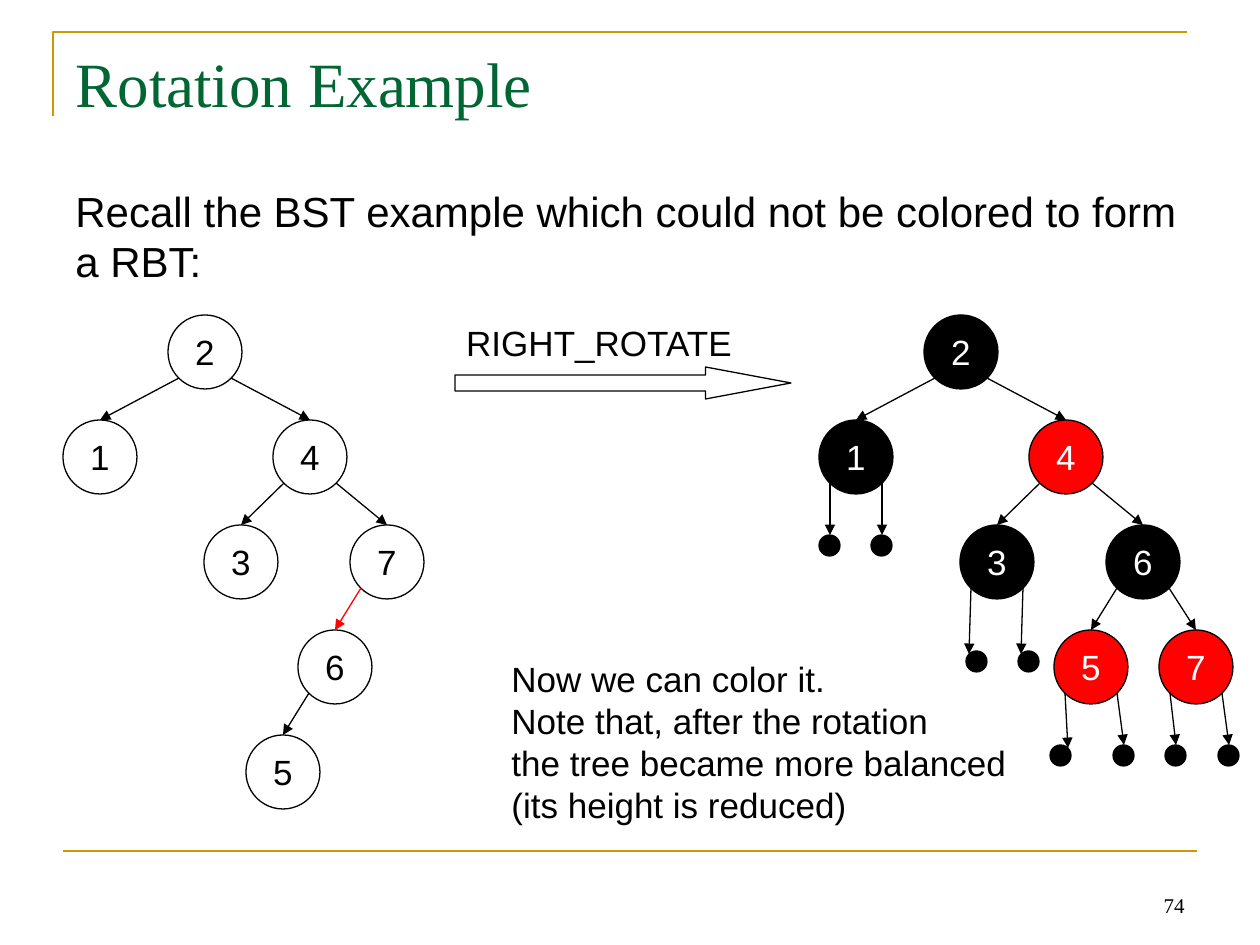
import pptx
import pptx.dml.color
import pptx.enum.shapes
import pptx.enum.text
import pptx.oxml
import pptx.oxml.ns
import pptx.util

RGB = pptx.dml.color.RGBColor
SHAPE = pptx.enum.shapes.MSO_SHAPE
ANCHOR = pptx.enum.text.MSO_ANCHOR
ALIGN = pptx.enum.text.PP_ALIGN

BLACK = RGB(0x00, 0x00, 0x00)
WHITE = RGB(0xFF, 0xFF, 0xFF)
RED = RGB(0xFF, 0x01, 0x01)
GOLD = RGB(0xCC, 0x99, 0x00)
GREEN = RGB(0x00, 0x66, 0x33)

PX = 914400 / 126
NODE = 74       # diameter of a tree node
LEAF = 21       # diameter of a nil leaf
LEVEL = 105     # height of one tree level
ARROW_IN = 11   # inset of an arrow's start from the node's bounding box


def emu(*lengths):
    return [round(length * PX) for length in lengths]


def add_xml(parent, tag, **attributes):
    child = pptx.oxml.parse_xml(f'<a:{tag} {pptx.oxml.ns.nsdecls("a")}/>')
    for name, value in attributes.items():
        child.set(name, value)
    parent.append(child)


def set_text(shape, lines, size, color=BLACK, font="Arial", align=ALIGN.LEFT,
             anchor=ANCHOR.TOP, wrap=True):
    frame = shape.text_frame
    frame.text = "\n".join(lines)
    frame.word_wrap = wrap
    frame.vertical_anchor = anchor
    for paragraph in frame.paragraphs:
        paragraph.alignment = align
        paragraph.font.size = pptx.util.Pt(size)
        paragraph.font.name = font
        paragraph.font.color.rgb = color
    return frame


def add_text(slide, box, lines, size, **style):
    return set_text(slide.shapes.add_textbox(*emu(*box)), lines, size, **style)


def add_outlined(slide, kind, box, fill=None):
    """Add a preset shape with a thin black outline and an optional fill."""
    shape = slide.shapes.add_shape(kind, *emu(*box))
    shape.shadow.inherit = False
    if fill is None:
        shape.fill.background()
    else:
        shape.fill.solid()
        shape.fill.fore_color.rgb = fill
    shape.line.color.rgb = BLACK
    shape.line.width = pptx.util.Pt(0.75)
    return shape


def add_line(slide, start, end, color=BLACK, width=0.75, arrow=False):
    line = slide.shapes.add_connector(
        pptx.enum.shapes.MSO_CONNECTOR.STRAIGHT, *emu(*start, *end))
    line.line.color.rgb = color
    line.line.width = pptx.util.Pt(width)
    if arrow:
        add_xml(line.line._get_or_add_ln(), "tailEnd", type="triangle")
    add_xml(line._element.spPr, "effectLst")
    return line


def arrow_start(node, side):
    """Return the lower left or lower right point of a node's circle."""
    x, y = node
    return x + (ARROW_IN if side == "L" else NODE - ARROW_IN), y + NODE - ARROW_IN


def add_tree(slide, origin, nodes, edges, leaves=()):
    """nodes: key -> (x, level, fill); edges: (parent, side, child, color);
    leaves: (parent, side, x, y, arrow tip within the leaf)."""
    left, top = origin
    places, circles = {}, {}
    for key, (x, level, fill) in nodes.items():
        places[key] = left + x, top + level * LEVEL
        circles[key] = add_outlined(slide, SHAPE.OVAL, (*places[key], NODE, NODE), fill)
        frame = set_text(circles[key], [key], 20, color=WHITE if fill else BLACK,
                         align=ALIGN.CENTER, anchor=ANCHOR.MIDDLE, wrap=False)
        frame.margin_left = frame.margin_right = 0
        frame.margin_top = frame.margin_bottom = 0
    for parent, side, child, color in edges:
        x, y = places[child]
        arrow = add_line(slide, arrow_start(places[parent], side),
                         (x + NODE // 2, y), color, arrow=True)
        arrow.end_connect(circles[child], 0)
    for parent, side, x, y, (tip_x, tip_y) in leaves:
        x, y = left + x, top + y
        add_outlined(slide, SHAPE.OVAL, (x, y, LEAF, LEAF), BLACK)
        add_line(slide, arrow_start(places[parent], side),
                 (x + tip_x, y + tip_y), arrow=True)


def add_frame(slide, box):
    """Draw the gold corner above the title, the bottom rule and the page number."""
    left, top, width, height = box
    outline = slide.shapes.build_freeform(*emu(left, top + 84), scale=1.0)
    outline.add_line_segments([emu(left, top), emu(left + width, top)], close=False)
    corner = outline.convert_to_shape()
    corner.shadow.inherit = False
    corner.fill.background()
    corner.line.color.rgb = GOLD
    corner.line.width = pptx.util.Pt(1.5)
    bottom = top + height
    add_line(slide, (left + 10, bottom), (left + 10 + width, bottom), GOLD, 1.5)
    add_text(slide, (left + 850, bottom + 10, 294, 63), ["74"], 12,
             font="Times New Roman", align=ALIGN.RIGHT, anchor=ANCHOR.BOTTOM)


def add_heading(slide, box):
    title = slide.shapes.title
    title.left, title.top, title.width, title.height = emu(*box)
    set_text(title, ["Rotation Example"], 36, color=GREEN, font="Times New Roman")


def add_bullet(slide, box):
    frame = slide.shapes.add_textbox(*emu(*box))
    frame.text_frame.text = ""
    properties = frame.text_frame.paragraphs[0]._p.get_or_add_pPr()
    indent = emu(47)[0]
    properties.set("marL", str(indent))
    properties.set("indent", str(-indent))
    add_xml(properties, "buClr")
    add_xml(properties[-1], "srgbClr", val=str(GOLD))
    add_xml(properties, "buSzPct", val="65000")
    add_xml(properties, "buFont", typeface="Arial")
    add_xml(properties, "buChar", char="■")
    set_text(frame, ["Recall the BST example which could not be colored to form a RBT:"], 24)


def add_rotation(slide, box):
    left, top, width, height = box
    arrow = add_outlined(slide, SHAPE.RIGHT_ARROW, (left + 4, top + 52, width - 4, height - 52))
    arrow.adjustments[1] = 2.67
    add_text(slide, (left, top, 296, 55), ["RIGHT_ROTATE"], 20,
             align=ALIGN.CENTER, wrap=False)


def main():
    deck = pptx.Presentation()
    deck.slide_width, deck.slide_height = emu(1260, 945)
    slide = deck.slides.add_slide(deck.slide_layouts[5])
    add_frame(slide, (53, 32, 1134, 819))
    add_heading(slide, (63, 38, 1134, 158))
    add_bullet(slide, (63, 179, 1134, 625))

    add_tree(
        slide, (63, 315),
        {"2": (105, 0, None), "1": (0, 1, None), "4": (210, 1, None),
         "3": (141, 2, None), "7": (287, 2, None), "6": (235, 3, None),
         "5": (183, 4, None)},
        [("2", "L", "1", BLACK), ("2", "R", "4", BLACK), ("4", "L", "3", BLACK),
         ("4", "R", "7", BLACK), ("7", "L", "6", RED), ("6", "L", "5", BLACK)])

    top_middle, top_left, top_right = (11, 0), (3, 3), (18, 3)
    add_tree(
        slide, (819, 315),
        {"2": (105, 0, BLACK), "1": (0, 1, BLACK), "4": (210, 1, RED),
         "3": (141, 2, BLACK), "6": (287, 2, BLACK), "5": (235, 3, RED),
         "7": (340, 3, RED)},
        [("2", "L", "1", BLACK), ("2", "R", "4", BLACK), ("4", "L", "3", BLACK),
         ("4", "R", "6", BLACK), ("6", "L", "5", BLACK), ("6", "R", "7", BLACK)],
        [("1", "L", 0, 220, top_middle), ("1", "R", 52, 220, top_middle),
         ("3", "L", 147, 336, top_left), ("3", "R", 199, 336, top_left),
         ("5", "L", 231, 430, top_right), ("5", "R", 294, 430, top_middle),
         ("7", "L", 346, 430, top_middle), ("7", "R", 399, 430, top_middle)])

    add_rotation(slide, (451, 315, 340, 84))
    add_text(slide, (499, 651, 520, 181),
             ["Now we can color it.", "Note that, after the rotation",
              "the tree became more balanced", "(its height is reduced)"],
             20, wrap=False)
    deck.save("out.pptx")


if __name__ == "__main__":
    main()
